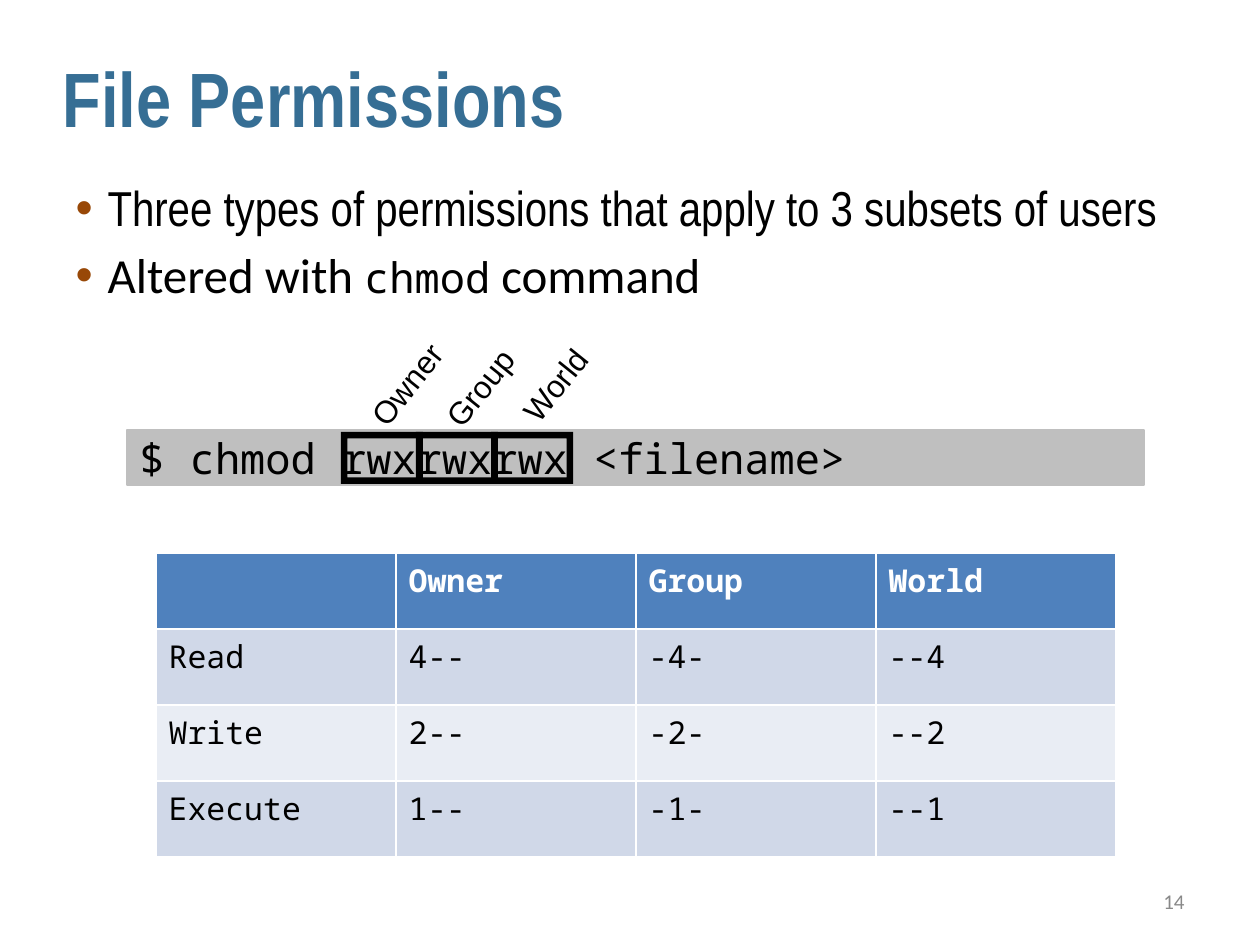
"""Build a slide on file permissions and the chmod command."""
from lxml import etree
from pptx import Presentation
from pptx.dml.color import RGBColor
from pptx.enum.shapes import MSO_SHAPE
from pptx.enum.text import MSO_ANCHOR, MSO_AUTO_SIZE, PP_ALIGN
from pptx.oxml.ns import qn
from pptx.util import Pt

RECT, FRAME = MSO_SHAPE.RECTANGLE, MSO_SHAPE.FRAME
MIDDLE = MSO_ANCHOR.MIDDLE
LEFT, RIGHT = PP_ALIGN.LEFT, PP_ALIGN.RIGHT
FIT, FIXED = MSO_AUTO_SIZE.SHAPE_TO_FIT_TEXT, MSO_AUTO_SIZE.NONE
SCALE = 914400 / 126
MONO, NARROW = "Noto Sans Mono", "Arial Narrow"
HUES = {
    "title": "366E94", "bullet": "984807", "text": "000000", "bar": "BFBFBF",
    "page": "898989", "head": "4F81BD", "white": "FFFFFF",
    "odd": "D0D8E8", "even": "E9EDF4",
}
TITLE = "File Permissions"
BULLETS = [
    [("Three types of permissions that apply to 3 subsets of users", NARROW, 28)],
    [("Altered with ", "Calibri", 28), ("chmod", MONO, 24), (" command", "Calibri", 28)],
]
COMMAND = "$ chmod rwxrwxrwx <filename>"
LABELS = [
    ("Owner", 347, 358, 120),
    ("Group", 423, 362, 113),
    ("World", 501, 359, 108),
]
TABLE = [
    ["", "Owner", "Group", "World"],
    ["Read", "4--", "-4-", "--4"],
    ["Write", "2--", "-2-", "--2"],
    ["Execute", "1--", "-1-", "--1"],
]
COL, ROW = 240, 76


def px(num):
    return round(num * SCALE)


def box(*nums):
    return [px(num) for num in nums]


def hue(name):
    return RGBColor.from_string(HUES[name])


def style(font, face, size, color, bold=False):
    font.name, font.size, font.bold = face, Pt(size), bold
    font.color.rgb = hue(color)


def place(shape, *nums):
    shape.left, shape.top, shape.width, shape.height = box(*nums)


def bullet(para):
    props = para._p.get_or_add_pPr()
    props.set("marL", str(px(32)))
    props.set("indent", str(px(-32)))
    tint = etree.SubElement(props, qn("a:buClr"))
    etree.SubElement(tint, qn("a:srgbClr"), val=HUES["bullet"])
    etree.SubElement(props, qn("a:buFont"), typeface="Arial")
    etree.SubElement(props, qn("a:buChar"), char="•")


def fill_text(slide):
    head, body = slide.shapes.title, slide.placeholders[1]
    place(head, 50, 18, 1172, 157)
    head.text_frame.text = TITLE
    head.text_frame.vertical_anchor = MIDDLE
    para = head.text_frame.paragraphs[0]
    para.alignment = LEFT
    style(para.font, NARROW, 44, "title", True)

    place(body, 63, 178, 1134, 660)
    frame = body.text_frame
    frame.auto_size = FIXED
    for i, runs in enumerate(BULLETS):
        para = frame.add_paragraph() if i else frame.paragraphs[0]
        bullet(para)
        para.line_spacing = 0.9
        para.space_before = Pt(8 if i else 0)
        for text, face, size in runs:
            run = para.add_run()
            run.text = text
            style(run.font, face, size, "text")


def add_block(slide, kind, nums, color):
    shape = slide.shapes.add_shape(kind, *box(*nums))
    shape.shadow.inherit = False
    shape.fill.solid()
    shape.fill.fore_color.rgb = hue(color)
    shape.line.fill.background()
    return shape


def add_text(slide, text, nums, face, size, color):
    shape = slide.shapes.add_textbox(*box(*nums))
    shape.text_frame.text = text
    style(shape.text_frame.paragraphs[0].font, face, size, color)
    return shape


def add_command(slide):
    bar = add_block(slide, RECT, (127, 430, 1017, 55), "bar")
    bar.line.color.rgb = hue("bar")
    bar.line.width = Pt(0.75)
    bar.text_frame.text = COMMAND
    bar.text_frame.vertical_anchor = MIDDLE
    para = bar.text_frame.paragraphs[0]
    para.alignment = LEFT
    style(para.font, MONO, 24, "text")
    for i, (text, left, top, width) in enumerate(LABELS):
        add_block(slide, FRAME, (341 + 75 * i, 432, 82, 52), "text")
        label = add_text(slide, text, (left, top, width, 50), "Arial", 18, "text")
        label.text_frame.word_wrap = False
        label.text_frame.auto_size = FIT
        label.rotation = 308.7


def add_grid(slide):
    rows, cols = len(TABLE), len(TABLE[0])
    area = box(156, 553, COL * cols, ROW * rows)
    grid = slide.shapes.add_table(rows, cols, *area).table
    for r, texts in enumerate(TABLE):
        grid.rows[r].height = px(ROW)
        shade = ("odd" if r % 2 else "even") if r else "head"
        for c, text in enumerate(texts):
            cell = grid.cell(r, c)
            cell.text = text
            cell.fill.solid()
            cell.fill.fore_color.rgb = hue(shade)
            font = cell.text_frame.paragraphs[0].font
            style(font, MONO, 18, "text" if r else "white", r == 0)


def main():
    deck = Presentation()
    deck.slide_width, deck.slide_height = box(1260, 945)
    slide = deck.slides.add_slide(deck.slide_layouts[1])
    fill_text(slide)
    add_command(slide)
    add_grid(slide)
    page = add_text(slide, "14", (903, 876, 294, 50), "Calibri", 12, "page")
    page.text_frame.word_wrap = True
    page.text_frame.vertical_anchor = MIDDLE
    page.text_frame.paragraphs[0].alignment = RIGHT
    deck.save("out.pptx")


if __name__ == "__main__":
    main()
